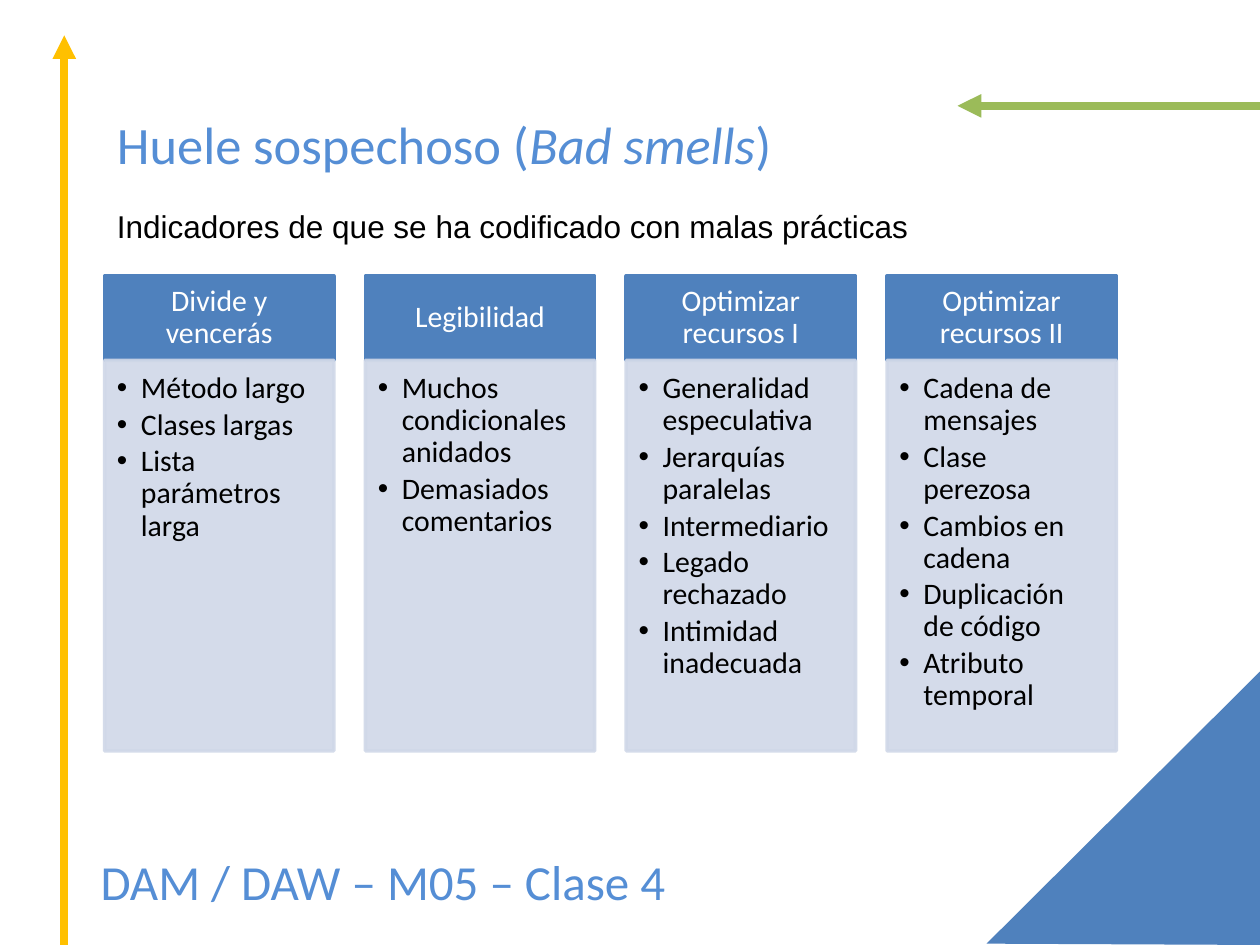
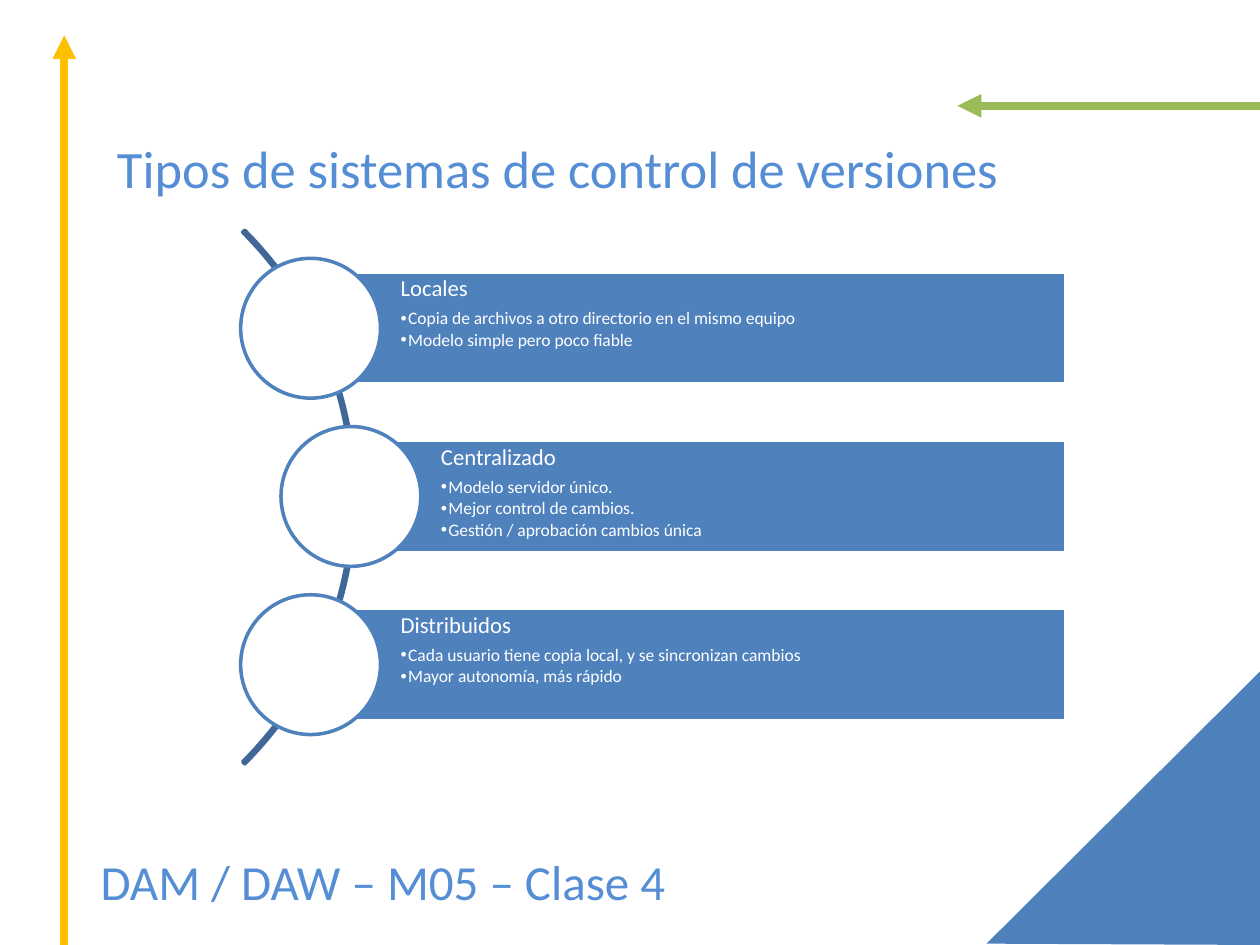
import pptx
import pptx.util
import pptx.dml.color
import pptx.enum.shapes
import pptx.enum.text
import pptx.oxml.ns
from dataclasses import dataclass
from lxml import etree

Inches = pptx.util.Inches
Pt = pptx.util.Pt
Kind = pptx.enum.shapes.MSO_SHAPE
Align = pptx.enum.text.PP_ALIGN
Anchor = pptx.enum.text.MSO_ANCHOR


@dataclass(frozen=True)
class Theme:
    blue: str = "4F81BD"
    sky: str = "558ED5"
    pale: str = "D0D8E8"
    navy: str = "3F6797"
    gold: str = "FFC000"
    green: str = "9BBB59"
    white: str = "FFFFFF"
    black: str = "000000"
    font: str = "Calibri"
    plain: str = "Arial"
    title: int = 30
    footer: int = 28
    lead: int = 18
    card: int = 17
    head: int = 13
    point: int = 10
    edge: float = 2
    arrow: float = 4.5


def rgb(code):
    return pptx.dml.color.RGBColor.from_string(code)


def child(node, tag, **attrs):
    return etree.SubElement(node, pptx.oxml.ns.qn(tag), attrs)


class Deck:
    def __init__(self, theme):
        self.theme = theme
        self.file = pptx.Presentation()
        self.file.slide_width = Inches(10)
        self.file.slide_height = Inches(7.5)
        self.slide = None

    def page(self, title, top, width):
        t = self.theme
        self.slide = self.file.slides.add_slide(self.file.slide_layouts[6])
        self.arrow((0.51, 7.5), (0.51, 0.28), t.gold)
        self.arrow((10, 0.84), (7.6, 0.84), t.green)
        self.corner([(7.83, 7.49), (10, 5.33), (10, 7.5)])
        self.label((0.83, top, width, 0.61), title, t.title, t.sky)
        self.label((0.7, 6.71, 6.22, 0.58), ["DAM / DAW – M05 – Clase 4"], t.footer, t.sky)

    def arrow(self, start, end, color):
        line = self.slide.shapes.add_connector(
            pptx.enum.shapes.MSO_CONNECTOR.STRAIGHT, *map(Inches, start + end))
        line.line.color.rgb = rgb(color)
        line.line.width = Pt(self.theme.arrow)
        child(line.line._get_or_add_ln(), "a:tailEnd", type="triangle")
        child(line._element.spPr, "a:effectLst")

    def corner(self, points):
        spots = [(Inches(x), Inches(y)) for x, y in points]
        form = self.slide.shapes.build_freeform(*spots[0])
        form.add_line_segments(spots[1:])
        shape = form.convert_to_shape()
        shape.shadow.inherit = False
        shape.fill.solid()
        shape.fill.fore_color.rgb = rgb(self.theme.blue)
        shape.line.fill.background()

    def shape(self, kind, box, fill, line, alpha=None):
        shape = self.slide.shapes.add_shape(kind, *map(Inches, box))
        shape.shadow.inherit = False
        if fill:
            shape.fill.solid()
            shape.fill.fore_color.rgb = rgb(fill)
        else:
            shape.fill.background()
        shape.line.color.rgb = rgb(line)
        shape.line.width = Pt(self.theme.edge)
        if alpha:
            for color in shape._element.spPr.iter(pptx.oxml.ns.qn("a:srgbClr")):
                child(color, "a:alpha", val=str(alpha * 1000))
        return shape

    def frame(self, shape, pads, anchor=Anchor.TOP):
        frame = shape.text_frame
        frame.word_wrap = True
        frame.vertical_anchor = anchor
        (frame.margin_left, frame.margin_top,
         frame.margin_right, frame.margin_bottom) = map(Inches, pads)
        return frame

    def para(self, frame, runs, size, color, font=None, align=Align.LEFT,
             space=1, after=0, indent=0):
        para = frame.paragraphs[0]
        if para.runs:
            para = frame.add_paragraph()
        para.alignment = align
        para.line_spacing = space
        para.space_after = Pt(size * after)
        if indent:
            para.level = 1
            props = para._p.get_or_add_pPr()
            props.set("marL", str(Inches(indent)))
            props.set("indent", str(Inches(-indent)))
            child(props, "a:buFont", typeface=self.theme.plain)
            child(props, "a:buChar", char="•")
        para.font.size = Pt(size)
        para.font.name = font or self.theme.font
        para.font.color.rgb = rgb(color)
        for text in runs:
            para.add_run().text = text
        return para

    def label(self, box, runs, size, color, **style):
        area = self.slide.shapes.add_textbox(*map(Inches, box))
        frame = self.frame(area, (0.1, 0.05, 0.1, 0.05))
        para = self.para(frame, runs, size, color, **style)
        if len(runs) == 3:
            para.runs[1].font.italic = True

    def card(self, left, head, points):
        t = self.theme
        top = self.shape(Kind.RECTANGLE, (left, 2.19, 1.82, 0.67), t.blue, t.blue)
        frame = self.frame(top, (0.13, 0.08, 0.13, 0.08), Anchor.MIDDLE)
        self.para(frame, [head], t.card, t.white, align=Align.CENTER, space=0.9, after=0.35)
        body = self.shape(Kind.RECTANGLE, (left, 2.86, 1.82, 3.1), t.pale, t.pale, 90)
        frame = self.frame(body, (0.1, 0.1, 0.13, 0.15))
        for point in points:
            self.para(frame, [point], t.card, t.black, space=0.9, after=0.15, indent=0.19)

    def arc(self):
        arc = self.shape(Kind.BLOCK_ARC, (-3.17, 0.95, 5.99, 5.99), None, self.theme.navy)
        for i, value in enumerate((189, 27, 0.004)):
            arc.adjustments[i] = value

    def band(self, left, top, head, points):
        t = self.theme
        bar = self.shape(Kind.RECTANGLE, (left, top, 8.46 - left, 0.89), t.blue, t.white)
        frame = self.frame(bar, (0.71, 0.04, 0.04, 0.04))
        self.para(frame, [head], t.head, t.white, space=0.9, after=0.35)
        for point in points:
            self.para(frame, [point], t.point, t.white, space=0.9, after=0.15, indent=0.06)
        self.shape(Kind.OVAL, (left - 0.56, top - 0.11, 1.11, 1.11), t.white, t.blue)


def main():
    theme = Theme()
    deck = Deck(theme)

    deck.page(["Huele sospechoso (", "Bad smells", ")"], 0.84, 6.54)
    deck.label((0.83, 1.44, 8.03, 0.51),
               ["Indicadores de que se ha codificado con malas prácticas"],
               theme.lead, theme.black, font=theme.plain, align=Align.JUSTIFY, space=1.5)
    smells = [
        ("Divide y vencerás", ["Método largo", "Clases largas", "Lista parámetros larga"]),
        ("Legibilidad", ["Muchos condicionales anidados", "Demasiados comentarios"]),
        ("Optimizar recursos I", ["Generalidad especulativa", "Jerarquías paralelas",
                                  "Intermediario", "Legado rechazado",
                                  "Intimidad inadecuada"]),
        ("Optimizar recursos II", ["Cadena de mensajes", "Clase perezosa",
                                   "Cambios en cadena", "Duplicación de código",
                                   "Atributo temporal"]),
    ]
    for i, (head, points) in enumerate(smells):
        deck.card(0.83 + 2.07 * i, head, points)

    deck.page(["Tipos de sistemas de control de versiones"], 1.03, 7.31)
    deck.arc()
    types = [
        (2.47, "Locales", ["Copia de archivos a otro directorio en el mismo equipo",
                           "Modelo simple pero poco fiable"]),
        (2.79, "Centralizado", ["Modelo servidor único.", "Mejor control de cambios.",
                                "Gestión / aprobación cambios única"]),
        (2.47, "Distribuidos", ["Cada usuario tiene copia local, y se sincronizan cambios",
                                "Mayor autonomía, más rápido"]),
    ]
    for i, (left, head, points) in enumerate(types):
        deck.band(left, 2.16 + 1.335 * i, head, points)

    deck.file.save("out.pptx")


if __name__ == "__main__":
    main()
